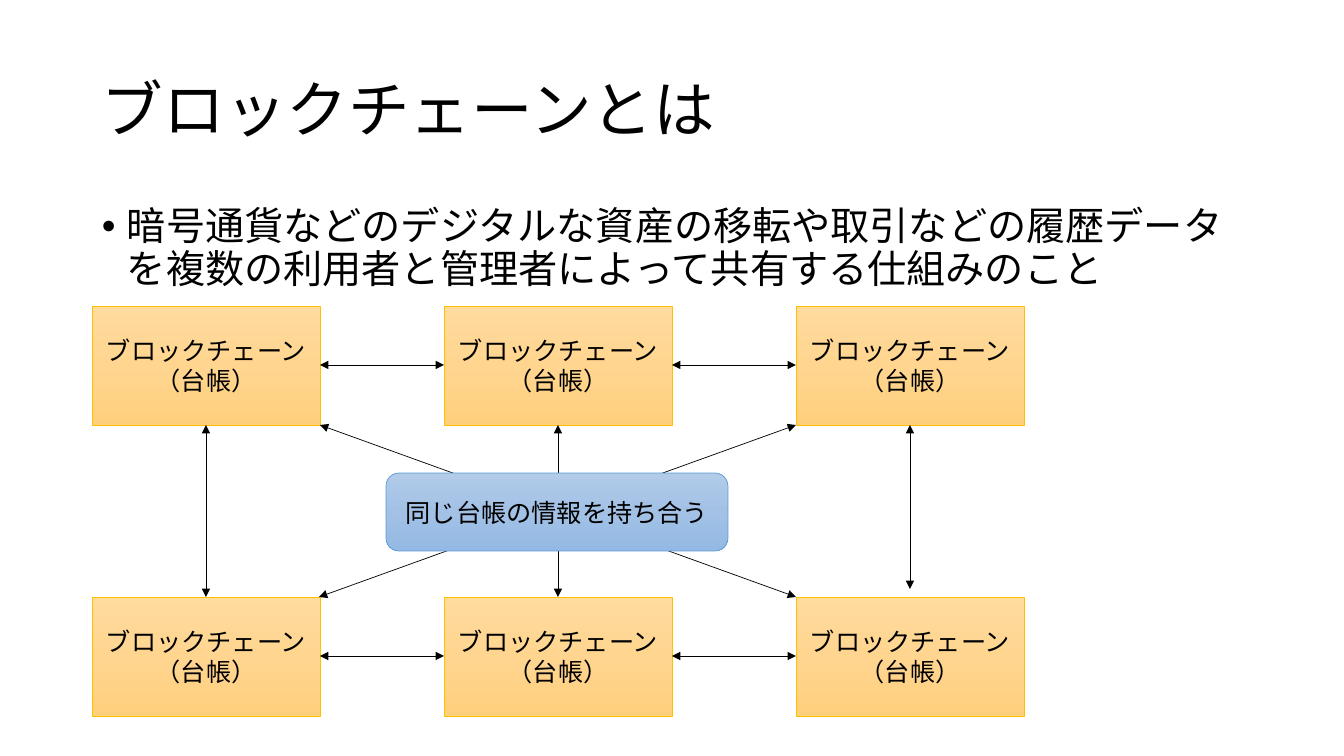
from copy import deepcopy
from dataclasses import dataclass

from pptx import Presentation
from pptx.dml.color import RGBColor
from pptx.enum.shapes import MSO_CONNECTOR, MSO_SHAPE as SHAPE
from pptx.enum.text import MSO_ANCHOR as ANCHOR, PP_ALIGN as ALIGN
from pptx.oxml.ns import qn
from pptx.oxml.xmlchemy import OxmlElement
from pptx.util import Pt

SCALE = 914400 / 100.8


@dataclass(frozen=True)
class Theme:
    font: str = "Noto Sans CJK JP"
    ink: str = "000000"
    ledger_fill: tuple = ("FFDB9E", "FFD590", "FFD07C")
    ledger_line: str = "FFC000"
    shared_fill: tuple = ("B1CBE9", "A3C1E5", "93B9E4")
    shared_line: str = "5B9BD5"
    title_size: int = 44
    body_size: int = 28
    label_size: int = 18
    line_width: float = 0.5


def px(*lengths):
    return [round(length * SCALE) for length in lengths]


def child(parent, tag, **attributes):
    element = OxmlElement(tag)
    for key, value in attributes.items():
        element.set(key, value)
    parent.append(element)
    return element


def write(frame, text, theme, size, align=ALIGN.LEFT, anchor=ANCHOR.MIDDLE,
          spacing=1.0, before=0, bullet_indent=0):
    frame.word_wrap = True
    frame.vertical_anchor = anchor
    paragraph = frame.paragraphs[0]
    paragraph.alignment = align
    paragraph.line_spacing = spacing
    paragraph.space_before = Pt(before)
    if bullet_indent:
        properties = paragraph._p.get_or_add_pPr()
        indent, = px(bullet_indent)
        properties.set("marL", str(indent))
        properties.set("indent", str(-indent))
        child(properties, "a:buFont", typeface="Arial")
        child(properties, "a:buChar", char="•")
    run = paragraph.add_run()
    run.text = text
    run.font.size = Pt(size)
    run.font.color.rgb = RGBColor.from_string(theme.ink)
    run.font.name = theme.font
    child(run._r.get_or_add_rPr(), "a:ea", typeface=theme.font)


class SlideBuilder:
    def __init__(self, slide, theme):
        self.shapes = slide.shapes
        self.theme = theme

    def text(self, box, text, size, **layout):
        frame = self.shapes.add_textbox(*px(*box)).text_frame
        write(frame, text, self.theme, size, **layout)

    def outline(self, line, color):
        line.color.rgb = RGBColor.from_string(color)
        line.width = Pt(self.theme.line_width)

    def block(self, kind, box, text, colors, border):
        block = self.shapes.add_shape(kind, *px(*box))
        block.shadow.inherit = False
        block.fill.gradient()
        block.fill.gradient_angle = 270
        # A new gradient has two stops; add the middle one
        stop_list = next(block._element.spPr.iter(qn("a:gsLst")))
        stop_list.insert(1, deepcopy(stop_list[0]))
        for index, stop in enumerate(block.fill.gradient_stops):
            stop.position = index / 2
            stop.color.rgb = RGBColor.from_string(colors[index])
        self.outline(block.line, border)
        write(block.text_frame, text, self.theme, self.theme.label_size,
              align=ALIGN.CENTER)

    def double_arrow(self, start, end):
        arrow = self.shapes.add_connector(MSO_CONNECTOR.STRAIGHT, *px(*start, *end))
        self.outline(arrow.line, self.theme.ink)
        line = arrow.line._get_or_add_ln()
        for tag in ("a:headEnd", "a:tailEnd"):
            child(line, tag, type="triangle")
        child(arrow._element.spPr, "a:effectLst")


theme = Theme()
deck = Presentation()
deck.slide_width, deck.slide_height = px(1344, 756)
builder = SlideBuilder(deck.slides.add_slide(deck.slide_layouts[6]), theme)

# Title and definition
builder.text((92, 40, 1159, 146), "ブロックチェーンとは", theme.title_size, spacing=0.9)
builder.text((92, 202, 1159, 480),
             "暗号通貨などのデジタルな資産の移転や取引などの履歴データを"
             "複数の利用者と管理者によって共有する仕組みのこと",
             theme.body_size, anchor=ANCHOR.TOP, spacing=0.9, before=10,
             bullet_indent=25)

# Grid of ledgers
LEDGER_W, LEDGER_H = 228, 119
columns = [92 + 352 * index for index in range(3)]
top_row, bottom_row = rows = (306, 597)
for top in rows:
    for left in columns:
        builder.block(SHAPE.RECTANGLE, (left, top, LEDGER_W, LEDGER_H),
                      "ブロックチェーン（台帳）", theme.ledger_fill, theme.ledger_line)

# Arrows between neighbours in a row
for top in rows:
    middle = top + LEDGER_H // 2
    for left, following in zip(columns, columns[1:]):
        builder.double_arrow((following, middle), (left + LEDGER_W, middle))

# Arrows between rows; the right one stops short of its ledger
upper_edge = top_row + LEDGER_H
for left, gap in zip(columns, (0, 0, 8)):
    center = left + LEDGER_W // 2
    builder.double_arrow((center, bottom_row - gap), (center, upper_edge))

# Diagonal arrows between the corner ledgers
inner_left, inner_right = columns[0] + LEDGER_W, columns[-1]
builder.double_arrow((inner_right, bottom_row), (inner_left, upper_edge))
builder.double_arrow((inner_right, upper_edge), (inner_left - 1, bottom_row))

# Shared information in the centre
builder.block(SHAPE.ROUNDED_RECTANGLE, (386, 473, 342, 78),
              "同じ台帳の情報を持ち合う", theme.shared_fill, theme.shared_line)

deck.save("out.pptx")
